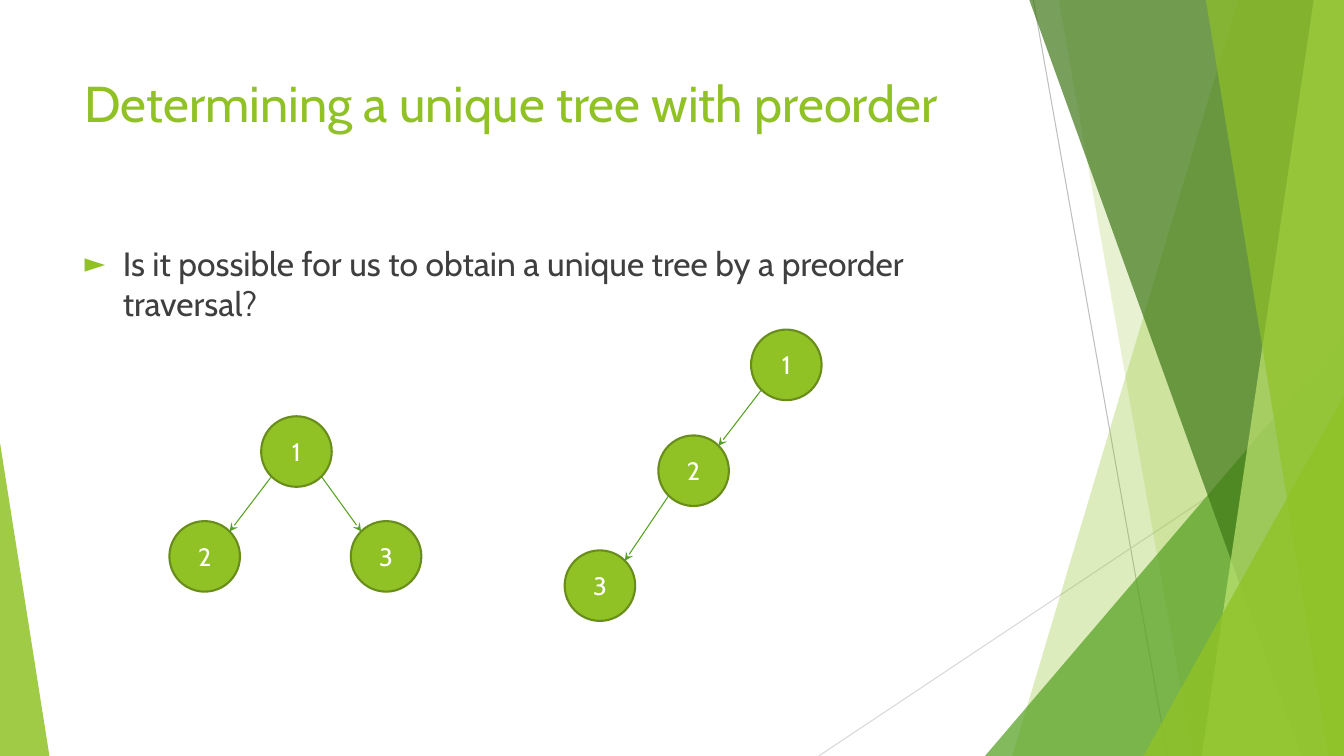
from lxml.etree import SubElement
from math import sqrt
from pptx import Presentation
from pptx.dml.color import RGBColor
from pptx.enum.shapes import MSO_CONNECTOR, MSO_SHAPE
from pptx.enum.text import MSO_ANCHOR, PP_ALIGN
from pptx.oxml.ns import qn
from pptx.util import Inches, Pt

HUES = {
    "lime": "90C226", "leaf": "54A021", "moss": "3F7818", "pale": "BFE471",
    "edge": "698D1B", "text": "3F3F3F", "white": "FFFFFF",
    "gray": "BFBFBF", "mist": "D8D8D8",
}
WIDE, HIGH = Inches(13.33), Inches(7.5)
ROUND = Inches(0.7)  # node diameter
FONT = "Cabin"


# Lengths are percent shares of the slide's width and height
def across(share):
    return round(WIDE * share / 100)


def down(share):
    return round(HIGH * share / 100)


def hue(name):
    return RGBColor.from_string(HUES[name])


def style(target, **values):
    for name, value in values.items():
        setattr(target, name, value)


def paint(shape, color, alpha=100):
    shape.shadow.inherit = False
    shape.fill.solid()
    shape.fill.fore_color.rgb = hue(color)
    if alpha < 100:
        tint = shape.fill._xPr.find(qn("a:solidFill"))[0]
        SubElement(tint, qn("a:alpha"), val=str(alpha * 1000))
        shape.line.fill.background()


def write(frame, text, size, color):
    frame.word_wrap = True
    para = frame.paragraphs[0]
    run = para.add_run()
    run.text = text
    style(run.font, name=FONT, size=Pt(size))
    run.font.color.rgb = hue(color)
    return para


def add_line(slide, start, end, color):
    line = slide.shapes.add_connector(MSO_CONNECTOR.STRAIGHT, *start, *end)
    line.line.width = Pt(0.75)
    line.line.color.rgb = hue(color)
    SubElement(line._element.spPr, qn("a:effectLst"))
    return line


# Band from the top edge to the bottom edge, filling out to the right side
def add_band(slide, top, foot, color, alpha):
    build = slide.shapes.build_freeform(across(top), 0)
    build.add_line_segments(
        [(WIDE, 0), (WIDE, HIGH), (across(foot), HIGH)], close=True)
    paint(build.convert_to_shape(), color, alpha)


# Right-angled triangle standing on the bottom edge
def add_wedge(slide, left, right, top, apex, color, alpha):
    wedge = slide.shapes.add_shape(
        MSO_SHAPE.ISOSCELES_TRIANGLE, across(left), down(top),
        across(right - left), down(100 - top))
    wedge.adjustments[0] = apex
    paint(wedge, color, alpha)


def add_text(slide, top, height, text, size, color):
    box = slide.shapes.add_textbox(
        across(5.55), down(top), across(70.52), down(height))
    return write(box.text_frame, text, size, color)


def add_bullet(para):
    props = para._p.get_or_add_pPr()
    indents = {"marL": Inches(0.38), "indent": -Inches(0.38)}
    for name, value in indents.items():
        props.set(name, str(value))
    tint = SubElement(props, qn("a:buClr"))
    SubElement(tint, qn("a:srgbClr"), val=HUES["lime"])
    SubElement(props, qn("a:buSzPct"), val="80000")
    SubElement(props, qn("a:buFont"), typeface=FONT)
    SubElement(props, qn("a:buChar"), char="►")


def add_node(slide, label, x, y):
    node = slide.shapes.add_shape(
        MSO_SHAPE.OVAL, across(x) - ROUND // 2, down(y) - ROUND // 2,
        ROUND, ROUND)
    paint(node, "lime")
    node.line.color.rgb = hue("edge")
    node.line.width = Pt(1.5)
    node.text_frame.vertical_anchor = MSO_ANCHOR.MIDDLE
    write(node.text_frame, label, 18, "white").alignment = PP_ALIGN.CENTER


# Arrow between the facing diagonal points of two circles
def add_arrow(slide, parent, child):
    reach = round(ROUND / 2 / sqrt(2))
    side = reach if child[0] > parent[0] else -reach
    start = across(parent[0]) + side, down(parent[1]) + reach
    end = across(child[0]) - side, down(child[1]) - reach
    arrow = add_line(slide, start, end, "leaf")
    SubElement(arrow.line._get_or_add_ln(), qn("a:tailEnd"), type="stealth")


def add_tree(slide, nodes, edges):
    for label, spot in nodes.items():
        add_node(slide, label, *spot)
    for parent, child in edges:
        add_arrow(slide, nodes[parent], nodes[child])


def add_decor(slide):
    add_line(slide, (across(76.89), 0), (across(86.87), HIGH), "gray")
    add_line(slide, (WIDE, down(53.73)), (across(60.92), HIGH), "mist")
    add_band(slide, 92.12, 75.32, "lime", 30)
    add_band(slide, 78.77, 88.75, "lime", 20)
    add_wedge(slide, 73.29, 100, 44.4, 1, "leaf", 72)
    add_band(slide, 76.59, 96.85, "moss", 70)
    add_band(slide, 97.75, 89.42, "pale", 70)
    add_band(slide, 89.72, 98.87, "lime", 65)
    add_wedge(slide, 85.07, 100, 52.4, 1, "lime", 80)
    add_wedge(slide, 0, 3.68, 58.53, 0, "lime", 85)


def main():
    deck = Presentation()
    style(deck, slide_width=WIDE, slide_height=HIGH)
    slide = deck.slides.add_slide(deck.slide_layouts[6])
    add_decor(slide)

    # Title and question
    add_text(slide, 8.93, 19.2, "Determining a unique tree with preorder",
             36, "lime")
    add_bullet(add_text(
        slide, 31.47, 56.53,
        "Is it possible for us to obtain a unique tree by a preorder "
        "traversal?", 24, "text"))

    # Two trees with the same preorder
    add_tree(slide, {"1": (22.06, 59.73), "2": (15.23, 73.6),
                     "3": (28.73, 73.6)}, ["12", "13"])
    add_tree(slide, {"1": (58.51, 48.27), "2": (51.61, 62.27),
                     "3": (44.64, 77.47)}, ["12", "23"])
    deck.save("out.pptx")


if __name__ == "__main__":
    main()
